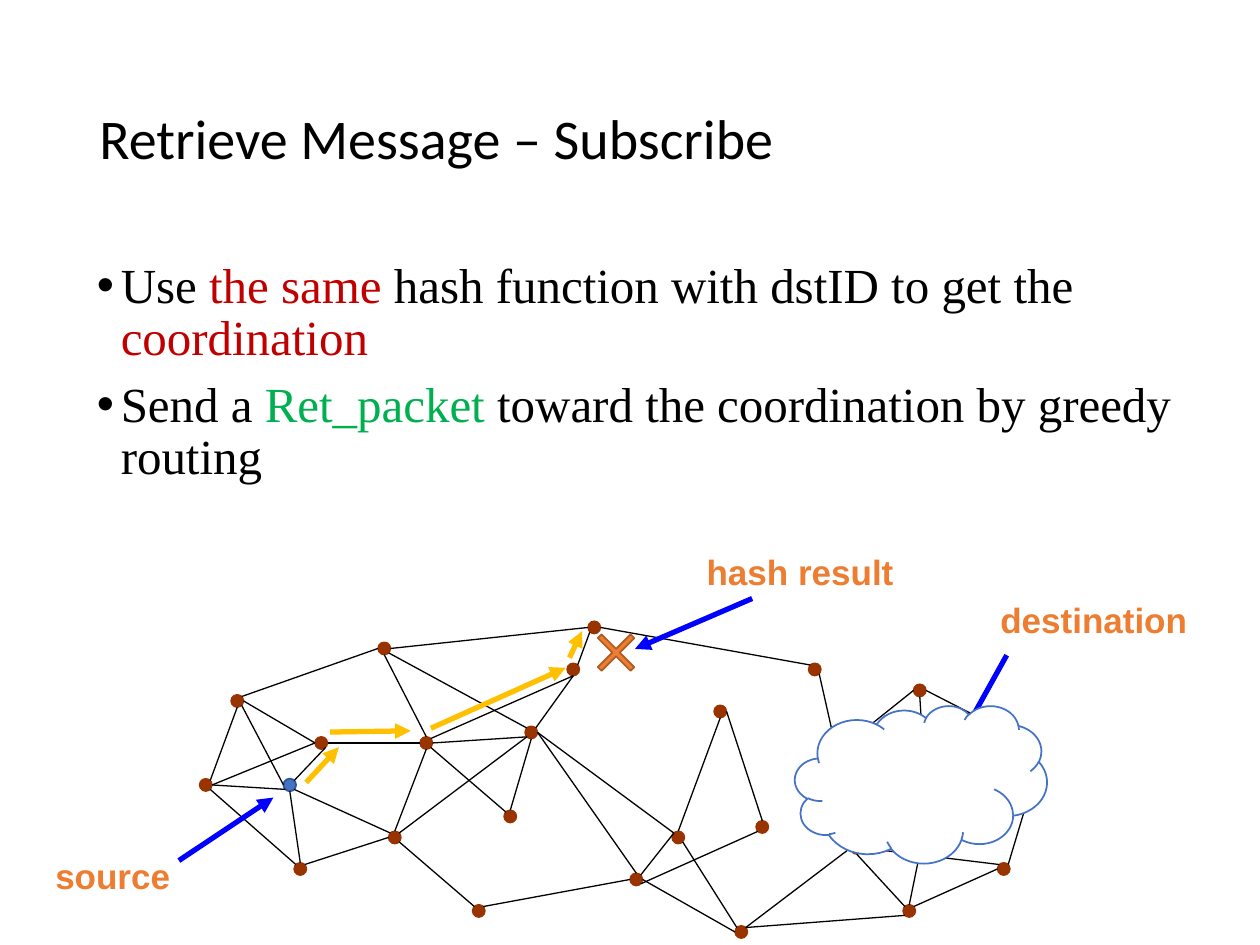
from dataclasses import dataclass

from lxml import etree
from pptx import Presentation
from pptx.dml.color import RGBColor
from pptx.enum.shapes import MSO_CONNECTOR, MSO_SHAPE
from pptx.enum.text import MSO_ANCHOR, MSO_AUTO_SIZE
from pptx.oxml.ns import qn
from pptx.util import Inches, Pt

LINE, OVAL = MSO_CONNECTOR.STRAIGHT, MSO_SHAPE.OVAL
CLOUD, CROSS = MSO_SHAPE.CLOUD, MSO_SHAPE.MATH_MULTIPLY
TOP, MIDDLE = MSO_ANCHOR.TOP, MSO_ANCHOR.MIDDLE
GROW = MSO_AUTO_SIZE.SHAPE_TO_FIT_TEXT

BLACK = RGBColor(0x00, 0x00, 0x00)
WHITE = RGBColor(0xFF, 0xFF, 0xFF)
RED = RGBColor(0xC0, 0x00, 0x00)
GREEN = RGBColor(0x00, 0xB0, 0x50)
ORANGE = RGBColor(0xED, 0x7D, 0x31)
RUST = RGBColor(0xAF, 0x5C, 0x24)
BROWN = RGBColor(0x99, 0x33, 0x00)
BLUE = RGBColor(0x44, 0x72, 0xC4)
NAVY = RGBColor(0x32, 0x54, 0x91)
PURE = RGBColor(0x00, 0x00, 0xFF)
GOLD = RGBColor(0xFF, 0xC0, 0x00)

# The slide is a grid of 10 columns and 7.5 rows, one inch each.
COLS, ROWS = 10, 7.5
STEP, TOP_ROW, DOT = 1 / 12, 4.93, 0.1  # node lattice: pitch, first row, size

# Lattice column and row of each node.
NODES = {
    "a": (19, 15), "b": (22, 7), "c": (28, 23), "d": (27, 15), "e": (30, 11),
    "f": (37, 20), "g": (36, 2), "h": (40, 11), "i": (45, 27), "j": (54, 4),
    "k": (56, 0), "l": (48, 18), "m": (50, 10), "n": (68, 8), "o": (77, 4),
    "p": (60, 24), "q": (64, 20), "r": (72, 19), "s": (70, 29), "t": (81, 21),
    "v": (87, 6), "A": (95, 23), "B": (86, 27),
}
# Ends of edges that run in behind the cloud; no dot is drawn for them.
ENDS = {"u": (79, 12), "x": (88, 16), "y": (96, 10), "z": (98, 16)}
SOURCE = "d"

# Where an edge meets a dot, as shares of the dot's size.
SITES = {
    "n": (0.5, 0), "ne": (0.85, 0.15), "e": (1, 0.5), "se": (0.85, 0.85),
    "s": (0.5, 1), "sw": (0.15, 0.85), "w": (0, 0.5), "nw": (0.15, 0.15),
}
EDGES = """
a.ne-b.s b.ne-g.w g.e-k.w k.e-o.nw a.se-c.nw b.se-d.w b.e-e.w d.ne-e.se
e.e-h.w h.n-g.s c.n-d.s c.ne-f.w f.nw-d.se f.n-h.s h.ne-j.s j.ne-k.sw
h.e-m.sw j.s-m.ne h.se-l.nw m.s-l.n f.se-i.nw i.ne-p.w p.n-m.e p.ne-q.nw
q.nw-m.e q.n-n.s n.e-r.n q.se-s.nw s.w-p.e s.ne-t.w u.n-o.se u.ne-v.w
t.s-B.nw s.ne-B.sw x.s-B.n B.ne-A.w A.ne-z.w y.w-v.e a.e-e.w a.e-d.sw
m.sw-f.ne v.s-x.nw g.se-m.nw t.e-A.nw r.sw-p.se
""".split()


@dataclass
class Box:
    """A place on the slide grid."""
    col: float
    row: float
    wide: float
    high: float

    def place(self) -> list:
        """Return left, top, width and height as lengths."""
        return [Inches(n) for n in (self.col, self.row, self.wide, self.high)]


@dataclass
class Arrow:
    """A thick line with a head at its end."""
    start: tuple
    end: tuple
    color: RGBColor


@dataclass
class Label:
    """A short bold caption."""
    text: str
    box: Box


LABELS = [
    Label("hash result", Box(5.51, 4.32, 1.7, 0.43)),
    Label("source", Box(0.34, 6.73, 1.11, 0.43)),
    Label("destination", Box(7.84, 4.7, 1.72, 0.43)),
]
HINTS = [
    Arrow((1.42, 6.83), (2.17, 6.33), PURE),
    Arrow((7.99, 5.2), (7.44, 6.19), PURE),
]
ROUTE = [
    Arrow((5.97, 4.75), (5.04, 5.15), PURE),
    Arrow((2.43, 6.21), (2.69, 5.93), GOLD),
    Arrow((2.62, 5.81), (3.26, 5.8), GOLD),
    Arrow((3.42, 5.78), (4.49, 5.3), GOLD),
    Arrow((4.52, 5.22), (4.62, 5.01), GOLD),
]
POINTS = [
    [("Use ", BLACK), ("the same ", RED),
     ("hash function with dstID to get the ", BLACK), ("coordination", RED)],
    [("Send a ", BLACK), ("Ret_packet", GREEN),
     (" toward the coordination by greedy routing", BLACK)],
]
HEAD = {"name": "Calibri", "size": Pt(32)}
BODY = {"name": "Times New Roman", "size": Pt(28)}
NOTE = {"name": "Arial", "size": Pt(20), "bold": True}


def apply(item, form: dict) -> None:
    """Set each value of a format on an item."""
    for key, value in form.items():
        setattr(item, key, value)


def add_text(slide, box: Box, lines: list, font: dict, frame: dict, para: dict):
    """Add a text box of coloured runs and return its paragraphs."""
    area = slide.shapes.add_textbox(*box.place()).text_frame
    apply(area, frame)
    for num, parts in enumerate(lines):
        line = area.add_paragraph() if num else area.paragraphs[0]
        apply(line, para)
        for text, color in parts:
            run = line.add_run()
            run.text = text
            apply(run.font, font)
            run.font.color.rgb = color
    return area.paragraphs


def add_bullet(line) -> None:
    """Give a paragraph a hanging bullet."""
    props = line._p.get_or_add_pPr()
    props.set("marL", str(Inches(0.19)))
    props.set("indent", str(-Inches(0.19)))
    etree.SubElement(props, qn("a:buFont")).set("typeface", "Arial")
    etree.SubElement(props, qn("a:buChar")).set("char", "•")


def add_form(slide, kind, box: Box, fill: RGBColor, edge: RGBColor, width: float):
    """Add a filled shape with an outline."""
    form = slide.shapes.add_shape(kind, *box.place())
    form.shadow.inherit = False
    form.fill.solid()
    form.fill.fore_color.rgb = fill
    form.line.color.rgb = edge
    form.line.width = Pt(width)
    return form


def add_line(slide, start: tuple, end: tuple, color: RGBColor, width: float):
    """Add a straight line without a shadow."""
    line = slide.shapes.add_connector(LINE, *map(Inches, (*start, *end)))
    line.line.color.rgb = color
    line.line.width = Pt(width)
    etree.SubElement(line._element.spPr, qn("a:effectLst"))
    return line


def add_arrow(slide, arrow: Arrow) -> None:
    """Add a thick line with a triangle head."""
    line = add_line(slide, arrow.start, arrow.end, arrow.color, 3)
    etree.SubElement(line.line._get_or_add_ln(), qn("a:tailEnd")).set("type", "triangle")


def corner(spot: tuple) -> tuple:
    """Return the top left of a dot on the lattice."""
    return spot[0] * STEP, TOP_ROW + spot[1] * STEP


def meet(code: str) -> tuple:
    """Return the point for a node and a site, such as a.ne."""
    name, site = code.split(".")
    left, top = corner((NODES | ENDS)[name])
    across, down = SITES[site]
    return left + across * DOT, top + down * DOT


def main() -> None:
    """Build the slide and save it."""
    deck = Presentation()
    deck.slide_width, deck.slide_height = Inches(COLS), Inches(ROWS)
    slide = deck.slides.add_slide(deck.slide_layouts[6])

    add_text(slide, Box(0.69, 0.4, 8.62, 1.45), [[("Retrieve Message – Subscribe", BLACK)]],
             HEAD, {"word_wrap": True, "vertical_anchor": MIDDLE}, {"line_spacing": 0.9})
    for line in add_text(slide, Box(0.67, 2.02, 9.19, 4.76), POINTS, BODY,
                         {"word_wrap": True, "vertical_anchor": TOP},
                         {"line_spacing": 0.9, "space_before": Pt(7.5)}):
        add_bullet(line)

    cross = add_form(slide, CROSS, Box(4.64, 4.93, 0.5, 0.5), ORANGE, RUST, 1)
    cross.adjustments[0] = 0.084
    for name, spot in NODES.items():
        look = (BLUE, NAVY, 1) if name == SOURCE else (BROWN, BROWN, 0.75)
        add_form(slide, OVAL, Box(*corner(spot), DOT, DOT), *look)
    for edge in EDGES:
        add_line(slide, *map(meet, edge.split("-")), BLACK, 0.75)

    for label in LABELS:
        add_text(slide, label.box, [[(label.text, ORANGE)]], NOTE,
                 {"word_wrap": False, "auto_size": GROW, "vertical_anchor": MIDDLE}, {})
    for arrow in HINTS:
        add_arrow(slide, arrow)
    add_form(slide, CLOUD, Box(6.31, 5.6, 2, 1.25), WHITE, BLUE, 1)
    for arrow in ROUTE:
        add_arrow(slide, arrow)
    deck.save("out.pptx")


main()
